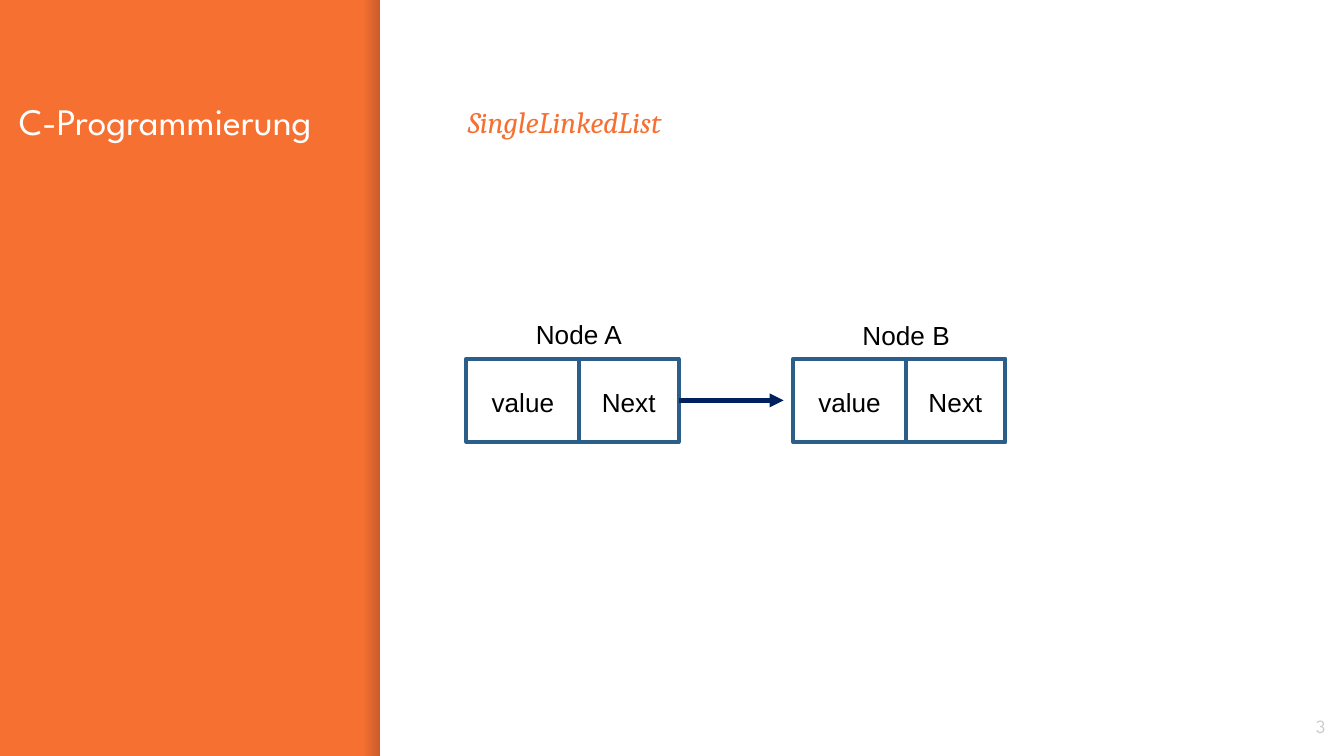
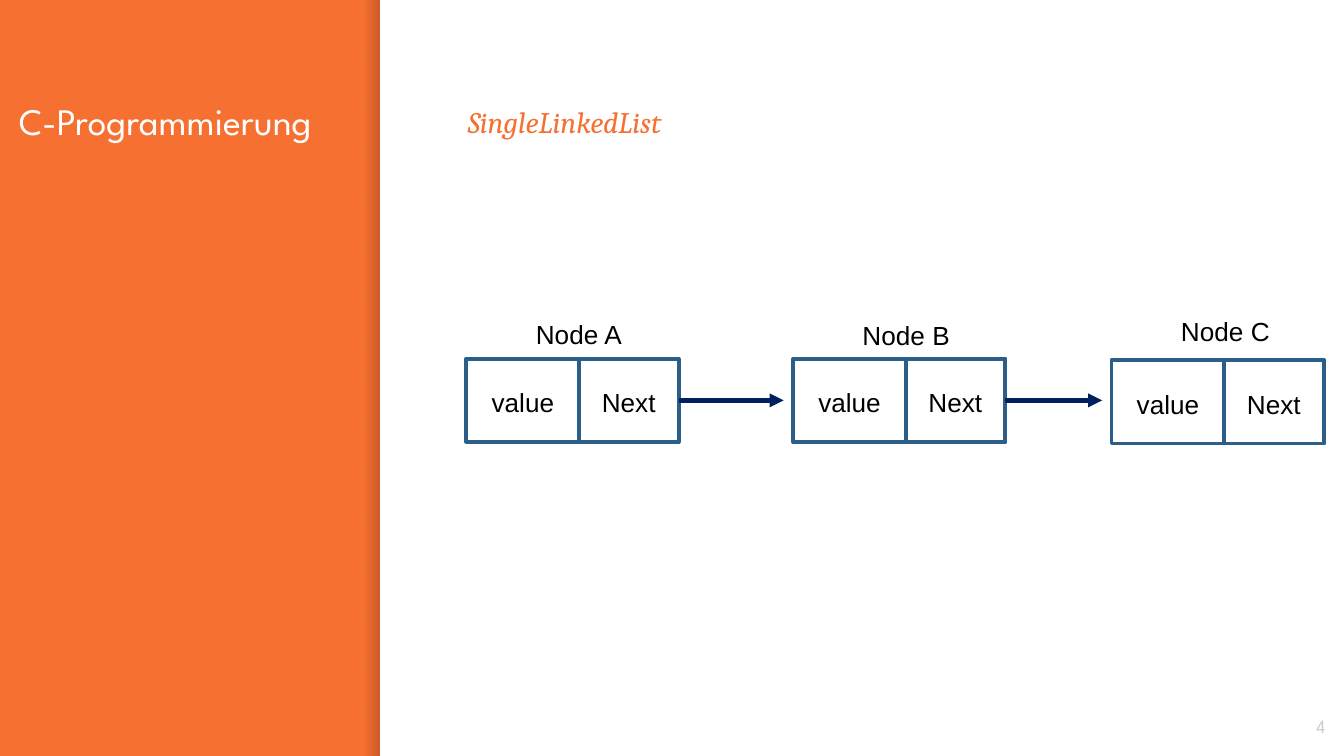
from dataclasses import dataclass
from typing import Any

import pptx
import pptx.dml.color
import pptx.enum.shapes
import pptx.enum.text
import pptx.oxml
import pptx.oxml.ns
import pptx.util
from lxml import etree

Pt = pptx.util.Pt
qn = pptx.oxml.ns.qn
ALIGN = pptx.enum.text.PP_ALIGN
ANCHOR = pptx.enum.text.MSO_ANCHOR
AUTOSIZE = pptx.enum.text.MSO_AUTO_SIZE
RECT = pptx.enum.shapes.MSO_SHAPE.RECTANGLE
STRAIGHT = pptx.enum.shapes.MSO_CONNECTOR.STRAIGHT

# Palette and fonts
ORANGE, WHITE, BLACK, GREY = "F67031", "FFFFFF", "000000", "CCCCCC"
SHADE, STEEL, NAVY = "000014", "2B5F8A", "002060"
HEAD_FONT, BODY_FONT, NODE_FONT = "League Spartan", "Cambria", "Arial"

# Slide geometry, in points
SLIDE_W, SLIDE_H = 720, 405
PANEL_X, SHADE_W = 203.6, 9
NODE_W, NODE_H = 113.8, 44.6
VALUE_W = 60.5
TEXT_W, TEXT_H = 70.6, 21.8
TEXT_SHIFT, TEXT_DROP = 5, 11.5
LABEL_SHIFT, LABEL_W = 30.2, 80
ARROW_GAP = 5


@dataclass(frozen=True)
class Style:
    font: str
    size: float
    color: str
    italic: bool = False
    align: Any = ALIGN.LEFT


@dataclass(frozen=True)
class Node:
    name: str
    left: float
    top: float
    label_top: float


TITLE = Style(HEAD_FONT, 20, WHITE)
TOPIC = Style(BODY_FONT, 16, ORANGE, italic=True)
NUMBER = Style(HEAD_FONT, 10, GREY, align=ALIGN.RIGHT)
NODE_TEXT = Style(NODE_FONT, 14, BLACK)
VALUE_TEXT = Style(NODE_FONT, 14, BLACK, align=ALIGN.CENTER)

NODES = [
    Node("Node A", 249.8, 192.2, 167),
    Node("Node B", 424.8, 192.2, 167.8),
    Node("Node C", 595.4, 193, 165.6),
]


def rgb(color: str) -> Any:
    return pptx.dml.color.RGBColor.from_string(color)


def write(shape: Any, text: str, style: Style) -> Any:
    """Put one styled paragraph into a shape and return it."""
    tf = shape.text_frame
    tf.word_wrap = True
    tf.text = text
    p = tf.paragraphs[0]
    p.alignment = style.align
    p.font.name, p.font.size = style.font, Pt(style.size)
    p.font.italic, p.font.bold = style.italic, False
    p.font.color.rgb = rgb(style.color)
    return p


def set_frame(shape: Any, anchor: Any) -> None:
    tf = shape.text_frame
    tf.auto_size, tf.vertical_anchor = AUTOSIZE.NONE, anchor
    tf.margin_left = tf.margin_right = tf.margin_top = tf.margin_bottom = Pt(7.2)


def place(shape: Any, left: float, top: float, width: float, height: float) -> None:
    shape.left, shape.top = Pt(left), Pt(top)
    shape.width, shape.height = Pt(width), Pt(height)


def add_rect(shapes: Any, left: float, top: float, width: float, height: float) -> Any:
    sp = shapes.add_shape(RECT, Pt(left), Pt(top), Pt(width), Pt(height))
    sp.shadow.inherit = False
    return sp


def add_label(shapes: Any, left: float, top: float, width: float,
              text: str, style: Style) -> None:
    sp = shapes.add_textbox(Pt(left), Pt(top), Pt(width), Pt(TEXT_H))
    write(sp, text, style)
    sp.text_frame.auto_size = AUTOSIZE.SHAPE_TO_FIT_TEXT


def decorate_layout(layout: Any, s: Any) -> None:
    """Give the layout its orange ground, white panel and panel shade."""
    layout.background.fill.solid()
    layout.background.fill.fore_color.rgb = rgb(ORANGE)

    shade = add_rect(s.shapes, PANEL_X - SHADE_W, 0, SHADE_W, SLIDE_H)
    shade.fill.gradient()
    shade.fill.gradient_angle = 0
    for stop, alpha in zip(shade.fill.gradient_stops, (0, 20)):
        stop.color.rgb = rgb(SHADE)
    for clr, alpha in zip(shade.element.spPr.iter(qn("a:srgbClr")), (0, 20)):
        etree.SubElement(clr, qn("a:alpha"), val=str(alpha * 1000))

    panel = add_rect(s.shapes, PANEL_X, 0, SLIDE_W - PANEL_X, SLIDE_H)
    panel.fill.solid()
    panel.fill.fore_color.rgb = rgb(WHITE)

    for i, band in enumerate((shade, panel)):
        band.line.fill.background()
        band.element.nvSpPr.cNvPr.set("id", str(101 + i))
        layout.shapes.element.insert(2 + i, band.element)


def add_headings(s: Any, title: str, topic: str, number: int) -> None:
    heading, body = s.shapes.title, s.placeholders[1]
    place(heading, 2.9, 45.4, 193, 313)
    write(heading, title, TITLE)
    set_frame(heading, ANCHOR.TOP)

    place(body, 243.4, 45.4, 440.6, 95)
    p = write(body, topic, TOPIC)
    p.line_spacing, p.space_before = 1.15, Pt(6)
    pPr = p._p.get_or_add_pPr()
    pPr.set("marL", "0")
    pPr.set("indent", "0")
    pPr.insert_element_before(pptx.oxml.parse_xml(
        '<a:buNone xmlns:a="http://schemas.openxmlformats.org/drawingml/2006/main"/>'),
        "a:tabLst", "a:defRPr", "a:extLst")
    set_frame(body, ANCHOR.TOP)

    page = s.shapes.add_textbox(Pt(674), Pt(373.7), Pt(43.2), Pt(31))
    write(page, str(number), NUMBER)
    set_frame(page, ANCHOR.MIDDLE)


def add_node(s: Any, node: Node) -> None:
    shapes = s.shapes.add_group_shape().shapes
    # Whole cell, then its pointer part
    for shift in (0, VALUE_W):
        cell = add_rect(shapes, node.left + shift, node.top, NODE_W - shift, NODE_H)
        cell.fill.background()
        cell.line.color.rgb = rgb(STEEL)
        cell.line.width = Pt(2)
    text_top = node.top + TEXT_DROP
    add_label(shapes, node.left - TEXT_SHIFT, text_top, TEXT_W, "value", VALUE_TEXT)
    add_label(shapes, node.left + VALUE_W + TEXT_SHIFT, text_top, TEXT_W, "Next", NODE_TEXT)
    add_label(shapes, node.left + LABEL_SHIFT, node.label_top, LABEL_W, node.name, NODE_TEXT)


def add_arrow(s: Any, start: Node, end: Node) -> None:
    y = Pt(start.top + NODE_H / 2)
    line = s.shapes.add_connector(
        STRAIGHT, Pt(start.left + NODE_W), y, Pt(end.left - ARROW_GAP), y)
    line.line.color.rgb = rgb(NAVY)
    line.line.width = Pt(2.5)
    etree.SubElement(line.line._get_or_add_ln(), qn("a:tailEnd"), type="triangle")
    etree.SubElement(line.element.spPr, qn("a:effectLst"))


def main() -> None:
    prs = pptx.Presentation()
    prs.slide_width, prs.slide_height = Pt(SLIDE_W), Pt(SLIDE_H)
    layout = prs.slide_layouts[1]

    # Each slide shows one more node of the list
    for number, count in ((3, 2), (4, 3)):
        s = prs.slides.add_slide(layout)
        if len(prs.slides) == 1:
            decorate_layout(layout, s)
        add_headings(s, "C-Programmierung", "SingleLinkedList", number)
        nodes = NODES[:count]
        for node in nodes:
            add_node(s, node)
        for start, end in zip(nodes, nodes[1:]):
            add_arrow(s, start, end)

    prs.save("out.pptx")


if __name__ == "__main__":
    main()
